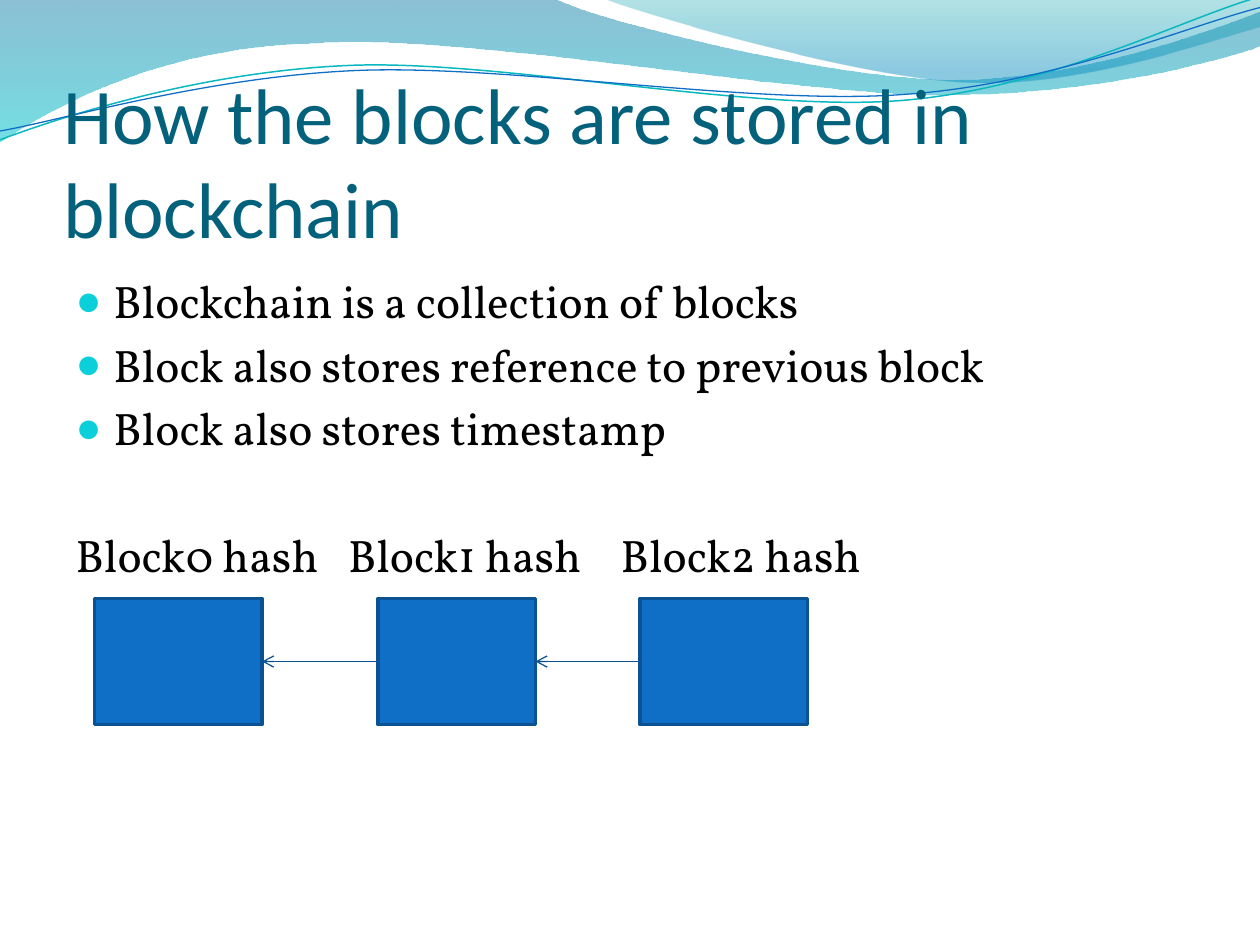
from lxml import etree
from pptx import Presentation
from pptx import util as u
from pptx.dml.color import RGBColor
from pptx.enum import shapes, text
from pptx.oxml.ns import qn

COLORS = {
    "title": "04617B", "body": "000000", "bullet": "0BD0D9",
    "block": "0F6FC6", "border": "0B5292", "arrow": "095295",
    "wave_teal": "0AB8BF", "wave_blue": "0F6FC6",
}


def add_child(parent, tag, **attributes):
    return etree.SubElement(parent, qn(tag), attributes)


def add_wave(page, segments, close):
    points = [(u.Inches(x), u.Inches(y))
              for segment in segments for x, y in zip(segment[::2], segment[1::2])]
    builder = page.shapes.build_freeform(*points[0], scale=1)
    builder.add_line_segments(points[1:], close=close)
    wave = builder.convert_to_shape()
    wave.shadow.inherit = False
    lines = wave._element.spPr.iter(qn("a:lnTo"))
    lines = iter(list(lines))
    for segment in segments[1:]:
        line = next(lines)
        if len(segment) == 6:
            line.tag = qn("a:cubicBezTo")
            for extra in (next(lines), next(lines)):
                line.append(extra[0])
                extra.getparent().remove(extra)
    return wave


deck = Presentation()
deck.slide_width, deck.slide_height = u.Inches(10), u.Inches(7.5)
page = deck.slides.add_slide(deck.slide_layouts[1])

bands = [
    ([(0, 0), (4.4, -0.01), (4.76, 0.17, 6.64, 0.63, 7.58, 0.63),
      (8.53, 0.63, 9.58, 0.26, 10, 0.09), (10.01, 0.36),
      (9.83, 0.44, 8.7, 0.76, 7.46, 0.75), (6.22, 0.75, 3.82, 0.28, 2.57, 0.34),
      (1.29, 0.36, 0.46, 0.83, -0.01, 1.13)],
     [(0, "0074A1", 45), (1, "00C6CF", 55)]),
    ([(4.79, -0.01), (5.09, 0.11, 6.82, 0.62, 7.69, 0.65),
      (8.56, 0.69, 9.61, 0.32, 10, 0.21), (10, 0)],
     [(0, "00A1A9", 30), (0.8, "008BBF", 45)]),
]
for segments, stops in bands:
    band = add_wave(page, segments, True)
    band.line.fill.background()
    band.fill.gradient()
    band.fill.gradient_angle = 270
    for stop, (position, color, opacity) in zip(band.fill.gradient_stops, stops):
        stop.position = position
        stop.color.rgb = RGBColor.from_string(color)
    color_nodes = band._element.spPr.iter(qn("a:srgbClr"))
    for node, (position, color, opacity) in zip(color_nodes, stops):
        add_child(node, "a:alpha", val=str(opacity * 1000))

strands = [
    ([(0, 1.11), (0.48, 0.93, 1.58, 0.57, 2.77, 0.52), (3.95, 0.47, 5.93, 0.89, 7.13, 0.8),
      (8.33, 0.71, 9.38, 0.15, 9.98, -0.02)], "wave_teal", 0.85),
    ([(0, 1.04), (0.47, 0.96, 1.64, 0.61, 2.83, 0.56), (4.03, 0.51, 5.97, 0.84, 7.17, 0.75),
      (8.36, 0.67, 9.41, 0.21, 10, 0.06)], "wave_blue", 0.75),
]
for segments, color, width in strands:
    strand = add_wave(page, segments, False)
    strand.fill.background()
    strand.line.color.rgb = RGBColor.from_string(COLORS[color])
    strand.line.width = u.Pt(width)

title, body = page.shapes.title, page.placeholders[1]
for holder, top, height in ((title, 0.77, 1.25), (body, 2.12, 4.8)):
    page.shapes._spTree.append(holder._element)
    holder.left, holder.top = u.Inches(0.5), u.Inches(top)
    holder.width, holder.height = u.Inches(9), u.Inches(height)

title_frame = title.text_frame
title_frame.text = "How the blocks are stored in blockchain"
title_frame.auto_size = text.MSO_AUTO_SIZE.NONE
title_frame.vertical_anchor = text.MSO_ANCHOR.BOTTOM
title_frame.margin_left = title_frame.margin_right = title_frame.margin_bottom = 0
title_frame.margin_top = u.Inches(0.05)
title_frame.paragraphs[0].alignment = text.PP_ALIGN.LEFT

body_frame = body.text_frame
body_frame.text = "\n".join([
    "Blockchain is a collection of blocks",
    "Block also stores reference to previous block",
    "Block also stores timestamp",
])
body_frame.auto_size = text.MSO_AUTO_SIZE.NONE
for para in body_frame.paragraphs:
    para.space_before = u.Pt(5)
    props = para._p.get_or_add_pPr()
    props.set("marL", str(u.Inches(0.3)))
    props.set("indent", str(-u.Inches(0.3)))
    add_child(add_child(props, "a:buClr"), "a:srgbClr", val=COLORS["bullet"])
    add_child(props, "a:buSzPct", val="95000")
    add_child(props, "a:buChar", char="●")

labels = body_frame.add_paragraph()
labels.space_before = u.Pt(41.3)
props = labels._p.get_or_add_pPr()
props.set("marL", "0")
props.set("indent", "0")
add_child(props, "a:buNone")
for words, spacing in (("Block0 hash", 0), (" ", 11.4), ("Block1 hash", 0),
                       (" ", 17.1), ("Block2 hash", 0)):
    span = labels.add_run()
    span.text = words
    if spacing:
        span._r.get_or_add_rPr().set("spc", str(round(spacing * 100)))

for frame, font, size, color in ((title_frame, "Calibri", 45, "title"),
                                 (body_frame, "Vollkorn", 26, "body")):
    for para in frame.paragraphs:
        for span in para.runs:
            span.font.name, span.font.size = font, u.Pt(size)
            span.font.color.rgb = RGBColor.from_string(COLORS[color])

blocks = []
for left, width in ((0.75, 1.33), (3, 1.25), (5.08, 1.33)):
    box = page.shapes.add_shape(shapes.MSO_SHAPE.RECTANGLE, u.Inches(left), u.Inches(4.75),
                                u.Inches(width), u.Inches(1))
    box.shadow.inherit = False
    box.fill.solid()
    box.fill.fore_color.rgb = RGBColor.from_string(COLORS["block"])
    box.line.color.rgb = RGBColor.from_string(COLORS["border"])
    box.line.width = u.Pt(2)
    blocks.append(box)

for previous, current in zip(blocks, blocks[1:]):
    arrow = page.shapes.add_connector(shapes.MSO_CONNECTOR.STRAIGHT, 0, 0, 0, 0)
    arrow.begin_connect(current, 1)
    arrow.end_connect(previous, 3)
    arrow.line.color.rgb = RGBColor.from_string(COLORS["arrow"])
    arrow.line.width = u.Pt(0.75)
    add_child(arrow.line._get_or_add_ln(), "a:tailEnd", type="arrow")
    add_child(arrow._element.spPr, "a:effectLst")

deck.save("out.pptx")
